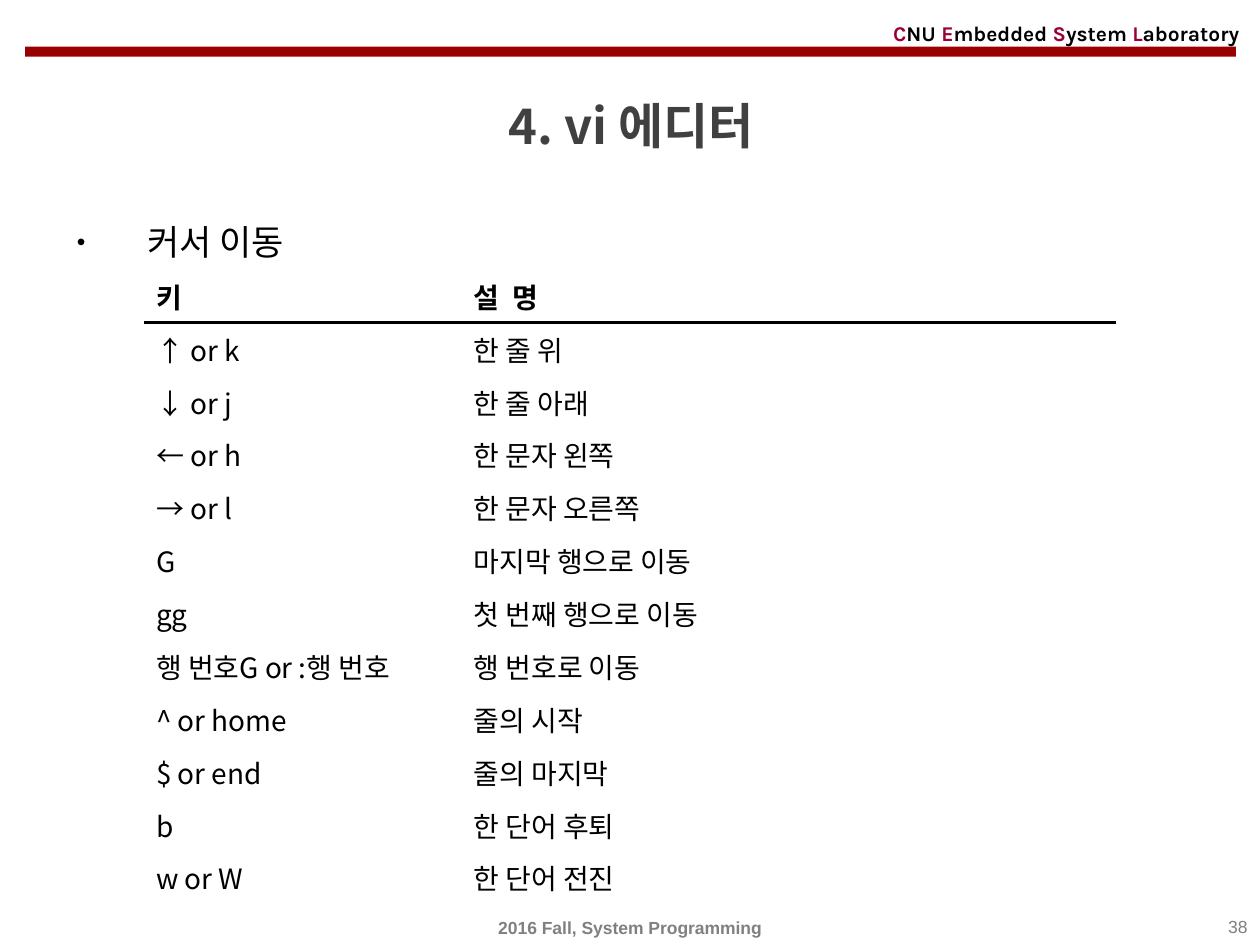
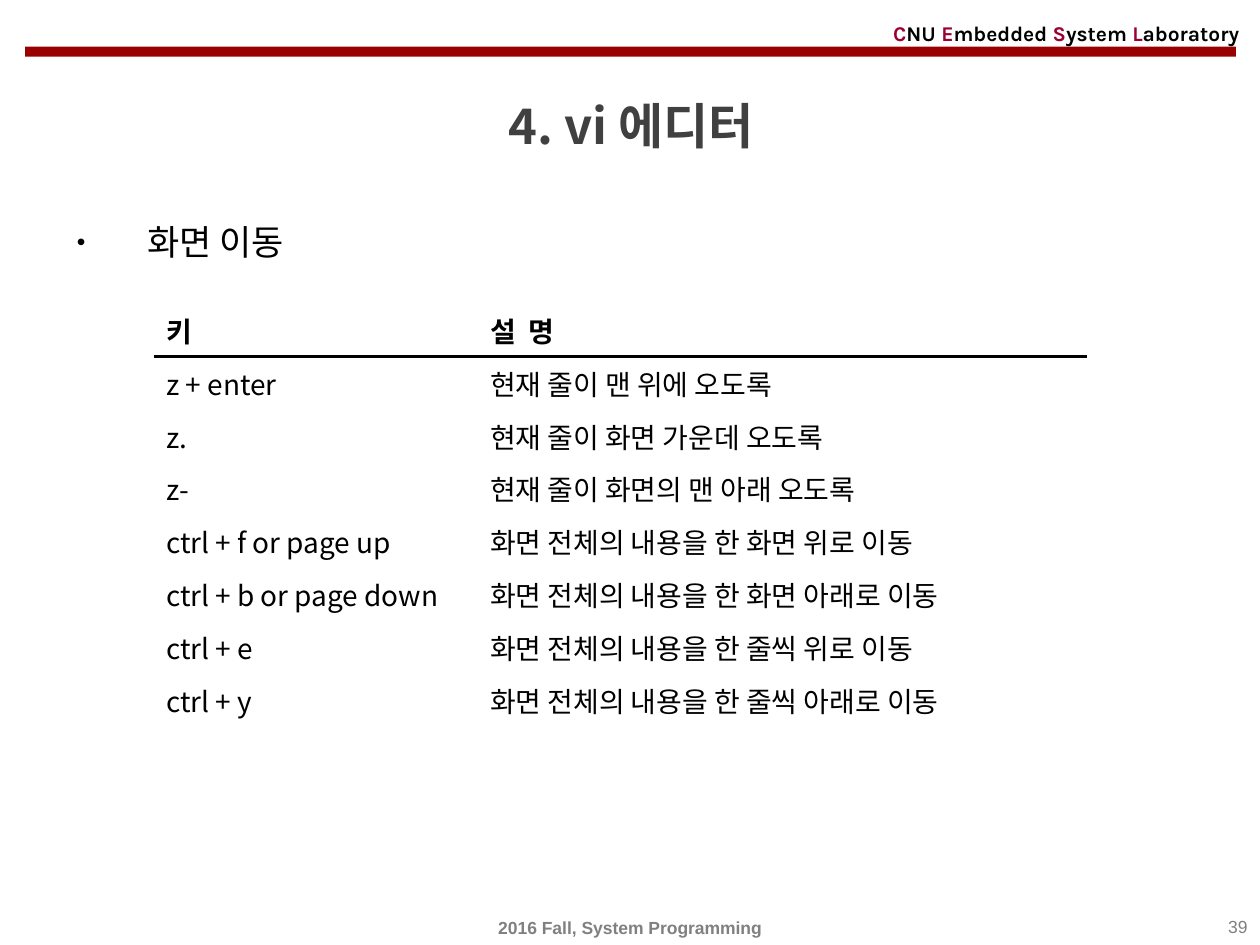
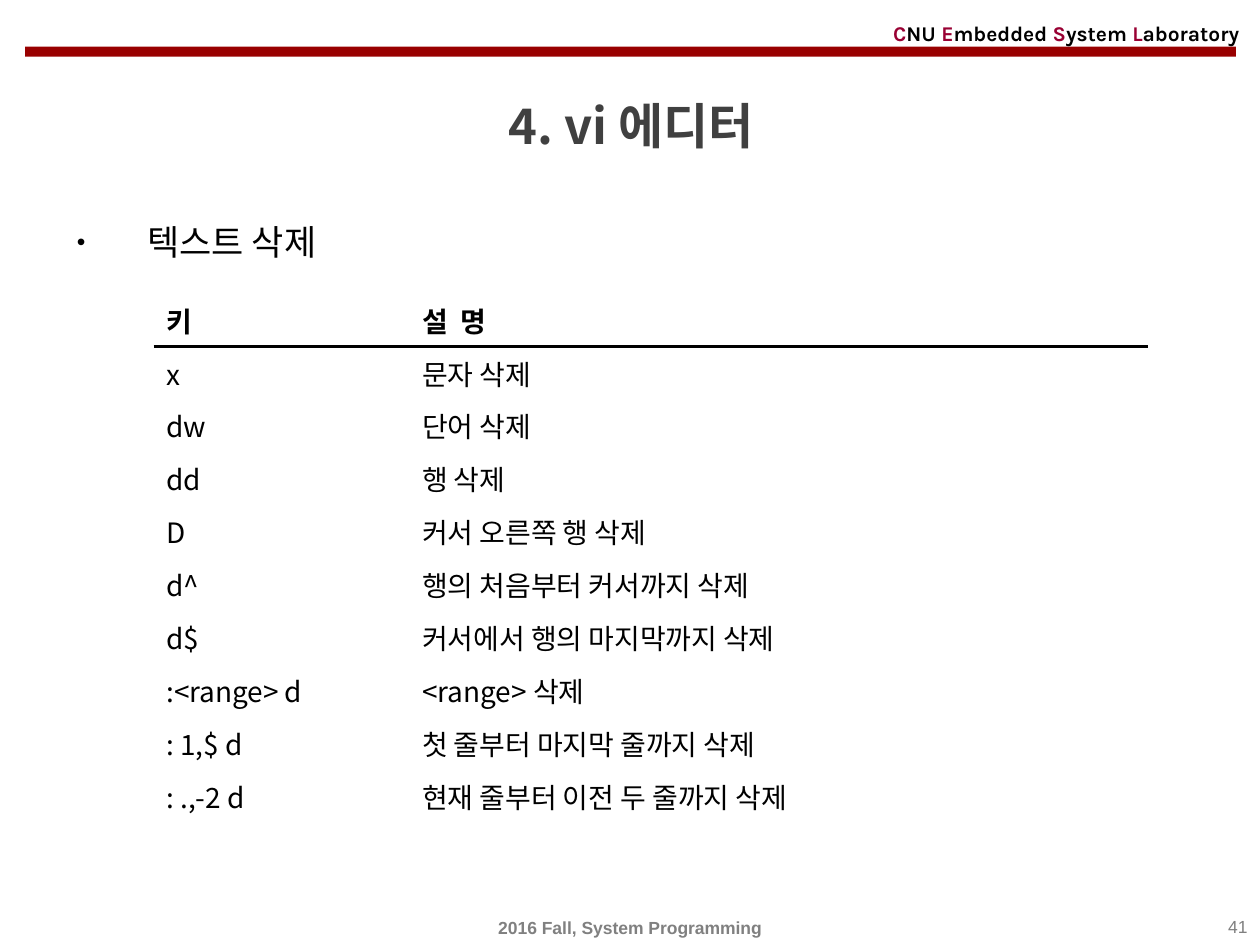
from dataclasses import dataclass

from lxml.etree import SubElement
from pptx import Presentation
from pptx.dml.color import RGBColor
from pptx.enum.shapes import MSO_SHAPE
from pptx.enum.text import MSO_ANCHOR, MSO_AUTO_SIZE, PP_ALIGN
from pptx.oxml import parse_xml
from pptx.oxml.ns import nsdecls, qn
from pptx.util import Inches, Pt

COLUMNS, ROWS = 100, 75
CELL = Inches(10) / COLUMNS

BAND_RED = RGBColor(0x99, 0x00, 0x00)
INITIAL_RED = RGBColor(0x99, 0x00, 0x33)
BLACK = RGBColor(0x00, 0x00, 0x00)
TITLE_GRAY = RGBColor(0x40, 0x40, 0x40)
FOOTER_GRAY = RGBColor(0x80, 0x80, 0x80)

KOREAN_FONT = "Noto Sans CJK KR"
LATIN_FONT = "Karla"
FOOTER_FONT = "Arial"
PLAIN_TABLE_STYLE = "{2D5ABB26-0587-4C30-8999-92F81FD0307C}"

TITLE = "4. vi 에디터"
FOOTER = "2016 Fall, System Programming"
LAB_WORDS = ["CNU ", "Embedded ", "System ", "Laboratory"]
TABLE_HEADER = ("키", "설  명")
TABLE_ROW_HEIGHT = 4.2


@dataclass
class Box:
    """A region measured in grid columns and rows."""

    left: float
    top: float
    width: float
    height: float

    def inner_box(self, left, top, width, height):
        """Return a box whose corner is relative to this one."""
        return Box(self.left + left, self.top + top, width, height)

    def lengths(self):
        """Return left, top, width and height as slide lengths."""
        return [round(value * CELL) for value in (self.left, self.top, self.width, self.height)]


@dataclass
class KeySlide:
    """The content of one slide of editor keys."""

    page: int
    heading: str
    table_left: float
    table_top: float
    column_widths: tuple
    keys: list


SLIDES = [
    KeySlide(38, "커서 이동", 6.3, 4.4, (25.2, 52), [
        ("↑ or k", "한 줄 위"),
        ("↓ or j", "한 줄 아래"),
        ("← or h", "한 문자 왼쪽"),
        ("→ or l", "한 문자 오른쪽"),
        ("G", "마지막 행으로 이동"),
        ("gg", "첫 번째 행으로 이동"),
        ("행 번호G or :행 번호", "행 번호로 이동"),
        ("^ or home", "줄의 시작"),
        ("$ or end", "줄의 마지막"),
        ("b", "한 단어 후퇴"),
        ("w or W", "한 단어 전진"),
    ]),
    KeySlide(39, "화면 이동", 7.1, 7.1, (25.7, 48.4), [
        ("z + enter", "현재 줄이 맨 위에 오도록"),
        ("z.", "현재 줄이 화면 가운데 오도록"),
        ("z-", "현재 줄이 화면의 맨 아래 오도록"),
        ("ctrl + f or page up", "화면 전체의 내용을 한 화면 위로 이동"),
        ("ctrl + b or page down", "화면 전체의 내용을 한 화면 아래로 이동"),
        ("ctrl + e", "화면 전체의 내용을 한 줄씩 위로 이동"),
        ("ctrl + y", "화면 전체의 내용을 한 줄씩 아래로 이동"),
    ]),
    KeySlide(41, "텍스트 삭제", 7.1, 6.3, (20.3, 58.6), [
        ("x", "문자 삭제"),
        ("dw", "단어 삭제"),
        ("dd", "행 삭제"),
        ("D", "커서 오른쪽 행 삭제"),
        ("d^", "행의 처음부터 커서까지 삭제"),
        ("d$", "커서에서 행의 마지막까지 삭제"),
        (":<range> d", "<range> 삭제"),
        (": 1,$ d", "첫 줄부터 마지막 줄까지 삭제"),
        (": .,-2 d", "현재 줄부터 이전 두 줄까지 삭제"),
    ]),
]


def format_run(run, size, color, font, bold=False):
    """Set a run's font, with the Korean font for East Asian letters."""
    run.font.size = Pt(size)
    run.font.bold = bold
    run.font.color.rgb = color
    run.font.name = font
    SubElement(run.font._element, qn("a:ea")).set("typeface", KOREAN_FONT)


def move(shape, box):
    """Place a shape in a box."""
    shape.left, shape.top, shape.width, shape.height = box.lengths()


def fill_placeholder(placeholder, box, text, anchor):
    """Place a placeholder, write its text and return its paragraph."""
    move(placeholder, box)
    text_frame = placeholder.text_frame
    text_frame.text = text
    text_frame.auto_size = MSO_AUTO_SIZE.NONE
    text_frame.vertical_anchor = anchor
    return text_frame.paragraphs[0]


def add_text(slide, box, anchor, alignment):
    """Add a wrapping text box and return its paragraph."""
    text_frame = slide.shapes.add_textbox(*box.lengths()).text_frame
    text_frame.word_wrap = True
    text_frame.vertical_anchor = anchor
    paragraph = text_frame.paragraphs[0]
    paragraph.alignment = alignment
    return paragraph


def add_header(slide, box):
    """Draw the red band and the laboratory's name above it."""
    band_box = box.inner_box(0, 2.5, 96.1, 0.8)
    band = slide.shapes.add_shape(MSO_SHAPE.RECTANGLE, *band_box.lengths())
    band.shadow.inherit = False
    band.fill.solid()
    band.fill.fore_color.rgb = BAND_RED
    band.line.fill.background()
    name_box = box.inner_box(67.9, 0, 30.3, 2.8)
    paragraph = add_text(slide, name_box, MSO_ANCHOR.MIDDLE, PP_ALIGN.LEFT)
    for word in LAB_WORDS:
        for text, color in ((word[0], INITIAL_RED), (word[1:], BLACK)):
            run = paragraph.add_run()
            run.text = text
            format_run(run, 12, color, LATIN_FONT, bold=True)


def add_title(slide, box):
    """Write the centred title."""
    paragraph = fill_placeholder(slide.shapes.title, box, TITLE, MSO_ANCHOR.MIDDLE)
    paragraph.alignment = PP_ALIGN.CENTER
    format_run(paragraph.runs[0], 28, TITLE_GRAY, KOREAN_FONT, bold=True)


def add_heading(slide, box, text):
    """Write the bulleted heading in the body placeholder."""
    paragraph = fill_placeholder(slide.placeholders[1], box, text, MSO_ANCHOR.TOP)
    format_run(paragraph.runs[0], 20, BLACK, LATIN_FONT)
    properties = paragraph._p.get_or_add_pPr()
    properties.set("marL", str(Inches(0.56)))
    properties.set("indent", str(-Inches(0.56)))
    SubElement(properties, qn("a:buSzPct")).set("val", "70000")
    SubElement(properties, qn("a:buChar")).set("char", "•")


def add_bottom_border(cell):
    """Draw a black line under a table cell."""
    border = parse_xml(
        f'<a:lnB {nsdecls("a")} w="{Pt(1.5)}"><a:solidFill>'
        f'<a:srgbClr val="{BLACK}"/></a:solidFill></a:lnB>'
    )
    cell._tc.get_or_add_tcPr().insert(0, border)


def add_key_table(slide, box, column_widths, keys):
    """Draw the table of keys with a line under its header."""
    rows = [TABLE_HEADER, *keys]
    table_box = box.inner_box(0, 0, sum(column_widths), TABLE_ROW_HEIGHT * len(rows))
    frame = slide.shapes.add_table(len(rows), len(column_widths), *table_box.lengths())
    table = frame.table
    table.horz_banding = False
    table._tbl.tblPr.find(qn("a:tableStyleId")).text = PLAIN_TABLE_STYLE
    for column, width in zip(table.columns, column_widths):
        column.width = round(width * CELL)
    for row_index, texts in enumerate(rows):
        is_header = row_index == 0
        for column_index, text in enumerate(texts):
            cell = table.cell(row_index, column_index)
            cell.text = text
            cell.fill.background()
            run = cell.text_frame.paragraphs[0].runs[0]
            format_run(run, 16, BLACK, KOREAN_FONT, bold=is_header)
            if is_header:
                add_bottom_border(cell)


def add_footer(slide, box, page):
    """Write the course name and the page number."""
    number_box = box.inner_box(box.width - 23.3, 0, 23.3, box.height)
    for text, text_box, anchor, alignment, bold in (
        (FOOTER, box, MSO_ANCHOR.MIDDLE, PP_ALIGN.CENTER, True),
        (str(page), number_box, MSO_ANCHOR.TOP, PP_ALIGN.RIGHT, False),
    ):
        run = add_text(slide, text_box, anchor, alignment).add_run()
        run.text = text
        format_run(run, 10, FOOTER_GRAY, FOOTER_FONT, bold)


def add_key_slide(presentation, content):
    """Build one slide from its regions."""
    slide = presentation.slides.add_slide(presentation.slide_layouts[1])
    body = Box(5.1, 17, 90.6, 52.8)
    add_header(slide, Box(2, 1.2, 98.2, 3.3))
    add_title(slide, Box(2.1, 6, 96, 7.9))
    add_heading(slide, body, content.heading)
    table_box = body.inner_box(content.table_left, content.table_top, body.width, body.height)
    add_key_table(slide, table_box, content.column_widths, content.keys)
    add_footer(slide, Box(0, 72.2, COLUMNS, 2.8), content.page)


def main():
    """Build and save the presentation."""
    presentation = Presentation()
    presentation.slide_width = round(COLUMNS * CELL)
    presentation.slide_height = round(ROWS * CELL)
    for content in SLIDES:
        add_key_slide(presentation, content)
    presentation.save("out.pptx")


if __name__ == "__main__":
    main()
